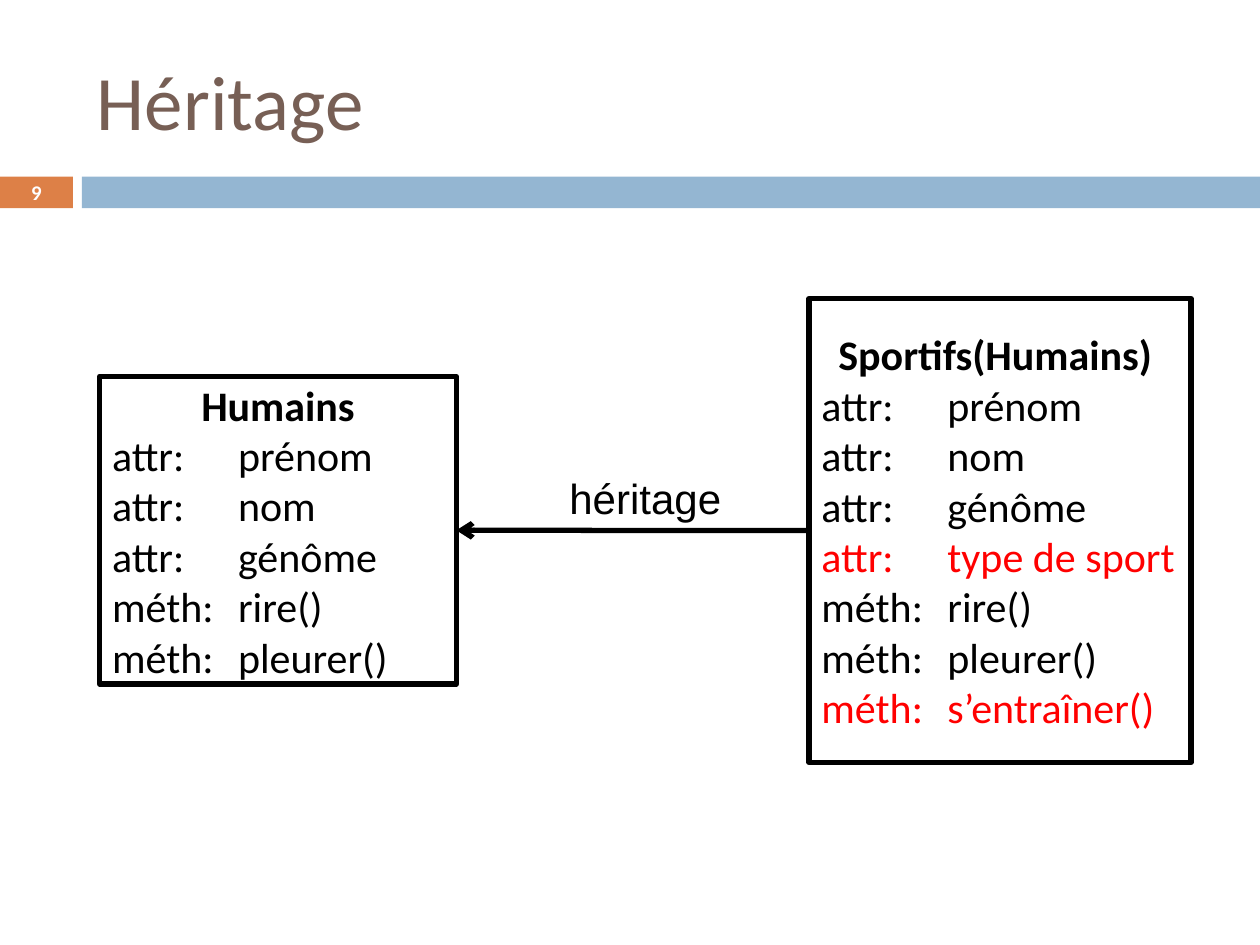
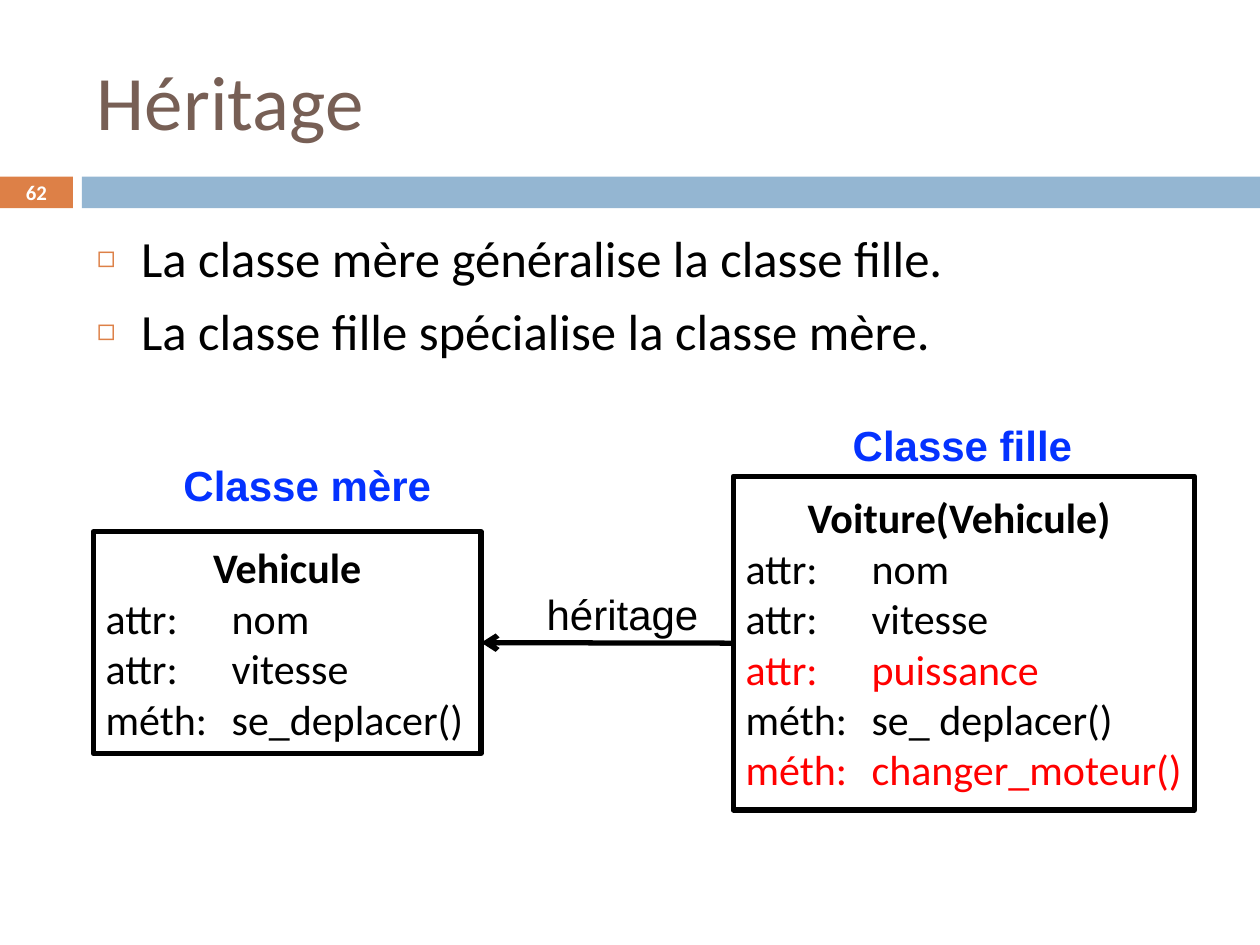
import dataclasses

import lxml.etree
import pptx
import pptx.dml.color
import pptx.enum.shapes
import pptx.enum.text
import pptx.oxml.ns
import pptx.shapes.autoshape
import pptx.shapes.shapetree
import pptx.slide
import pptx.text.text
import pptx.util

Cm = pptx.util.Cm
Pt = pptx.util.Pt
RGBColor = pptx.dml.color.RGBColor
Alignment = pptx.enum.text.PP_ALIGN
Anchor = pptx.enum.text.MSO_ANCHOR
AutoSize = pptx.enum.text.MSO_AUTO_SIZE
qn = pptx.oxml.ns.qn
ShapeTree = pptx.shapes.shapetree.SlideShapes | pptx.shapes.shapetree.GroupShapes

BLACK = RGBColor(0x00, 0x00, 0x00)
WHITE = RGBColor(0xFF, 0xFF, 0xFF)
RED = RGBColor(0xFF, 0x00, 0x00)
BLUE = RGBColor(0x04, 0x32, 0xFF)
BROWN = RGBColor(0x77, 0x5F, 0x55)
ORANGE = RGBColor(0xDD, 0x80, 0x47)
BAND_BLUE = RGBColor(0x94, 0xB6, 0xD2)

TEXT_FONT = "Calibri"
LABEL_FONT = "Arial"
TITLE_ONLY, TITLE_AND_CONTENT = 5, 1


@dataclasses.dataclass(frozen=True)
class Area:
    """A rectangle in centimetres."""
    left: float
    top: float
    width: float
    height: float

    def lengths(self) -> tuple[Cm, Cm, Cm, Cm]:
        return Cm(self.left), Cm(self.top), Cm(self.width), Cm(self.height)


@dataclasses.dataclass(frozen=True)
class Label:
    text: str
    area: Area
    color: RGBColor = BLACK
    bold: bool = False


@dataclasses.dataclass(frozen=True)
class Member:
    """An attribute or method; added ones are not inherited."""
    kind: str
    name: str
    added: bool = False


@dataclasses.dataclass(frozen=True)
class ClassBox:
    heading: str
    area: Area
    members: tuple[Member, ...]
    caption: Label | None = None


@dataclasses.dataclass(frozen=True)
class InheritanceSlide:
    number: int
    parent: ClassBox
    child: ClassBox
    arrow_label: Label
    points: tuple[str, ...] = ()


TITLE_AREA = Area(1.7, 0.64, 22.66, 2.74)
BODY_AREA = Area(1.7, 4.45, 22.66, 13.49)
MARKER_AREA = Area(0, 3.56, 1.47, 0.64)
BAND_AREA = Area(1.65, 3.56, 23.75, 0.64)
NUMBER_AREA = Area(0, 3.53, 1.47, 0.69)

SLIDES = (
    InheritanceSlide(
        number=9,
        parent=ClassBox("Humains", Area(2.01, 7.59, 7.19, 6.2), (
            Member("attr", "prénom"),
            Member("attr", "nom"),
            Member("attr", "génôme"),
            Member("méth", "rire()"),
            Member("méth", "pleurer()"),
        )),
        child=ClassBox("Sportifs(Humains) ", Area(16.31, 6.02, 7.7, 9.35), (
            Member("attr", "prénom"),
            Member("attr", "nom"),
            Member("attr", "génôme"),
            Member("attr", "type de sport", added=True),
            Member("méth", "rire()"),
            Member("méth", "pleurer()"),
            Member("méth", "s’entraîner()", added=True),
        )),
        arrow_label=Label("héritage", Area(11.23, 9.4, 3.61, 1.27)),
    ),
    InheritanceSlide(
        number=62,
        parent=ClassBox("Vehicule", Area(1.88, 10.72, 7.82, 4.47), (
            Member("attr", "nom"),
            Member("attr", "vitesse"),
            Member("méth", "se_deplacer()"),
        ), Label("Classe mère", Area(3.45, 9.14, 5.56, 1.27), BLUE, True)),
        child=ClassBox("Voiture(Vehicule) ", Area(14.78, 9.6, 9.3, 6.73), (
            Member("attr", "nom"),
            Member("attr", "vitesse"),
            Member("attr", "puissance", added=True),
            Member("méth", "se_ deplacer()"),
            Member("méth", "changer_moteur()", added=True),
        ), Label("Classe fille", Area(16.94, 8.33, 4.98, 1.27), BLUE, True)),
        arrow_label=Label("héritage", Area(10.77, 11.73, 3.61, 1.27)),
        points=("La classe mère généralise la classe fille.",
                "La classe fille spécialise la classe mère."),
    ),
)


def format_paragraph(paragraph: pptx.text.text._Paragraph, size: float,
                     color: RGBColor = BLACK, bold: bool = False,
                     font_name: str = TEXT_FONT,
                     alignment: Alignment = Alignment.LEFT) -> None:
    paragraph.alignment = alignment
    for run in paragraph.runs:
        run.font.name = font_name
        run.font.size = Pt(size)
        run.font.bold = bold
        run.font.color.rgb = color


def place(shape: pptx.shapes.autoshape.Shape, area: Area) -> None:
    shape.left, shape.top, shape.width, shape.height = area.lengths()


def add_rectangle(shapes: ShapeTree, area: Area,
                  fill: RGBColor) -> pptx.shapes.autoshape.Shape:
    rectangle = shapes.add_shape(
        pptx.enum.shapes.MSO_SHAPE.RECTANGLE, *area.lengths())
    rectangle.shadow.inherit = False
    rectangle.fill.solid()
    rectangle.fill.fore_color.rgb = fill
    rectangle.line.fill.background()
    return rectangle


def add_label(shapes: ShapeTree, label: Label) -> None:
    text_frame = shapes.add_textbox(*label.area.lengths()).text_frame
    text_frame.word_wrap = False
    text_frame.auto_size = AutoSize.SHAPE_TO_FIT_TEXT
    text_frame.text = label.text
    format_paragraph(text_frame.paragraphs[0], 24, label.color, label.bold,
                     LABEL_FONT)


def add_frame(slide: pptx.slide.Slide, number: int) -> None:
    """Add what every slide shares: bands, title and slide number."""
    add_rectangle(slide.shapes, MARKER_AREA, ORANGE)
    add_rectangle(slide.shapes, BAND_AREA, BAND_BLUE)

    title = slide.shapes.title
    place(title, TITLE_AREA)
    title.text_frame.text = "Héritage"
    title.text_frame.vertical_anchor = Anchor.MIDDLE
    format_paragraph(title.text_frame.paragraphs[0], 44, BROWN)

    text_frame = slide.shapes.add_textbox(*NUMBER_AREA.lengths()).text_frame
    text_frame.word_wrap = True
    text_frame.vertical_anchor = Anchor.MIDDLE
    text_frame.text = str(number)
    format_paragraph(text_frame.paragraphs[0], 11.9, WHITE, True,
                     alignment=Alignment.CENTER)


def add_square_bullet(paragraph: pptx.text.text._Paragraph) -> None:
    properties = paragraph._p.get_or_add_pPr()
    indent = Cm(0.89)
    properties.set("marL", str(indent))
    properties.set("indent", str(-indent))
    bullet_color = lxml.etree.SubElement(properties, qn("a:buClr"))
    lxml.etree.SubElement(bullet_color, qn("a:srgbClr"), val=str(ORANGE))
    lxml.etree.SubElement(properties, qn("a:buSzPct"), val="60000")
    lxml.etree.SubElement(properties, qn("a:buChar"), char="◻")


def fill_body(body: pptx.shapes.autoshape.Shape, points: tuple[str, ...]) -> None:
    place(body, BODY_AREA)
    body.text_frame.text = "\n".join(points)
    body.text_frame.auto_size = AutoSize.NONE
    for paragraph in body.text_frame.paragraphs:
        format_paragraph(paragraph, 29)
        paragraph.space_before = Pt(7)
        add_square_bullet(paragraph)


def add_class_box(slide: pptx.slide.Slide,
                  class_box: ClassBox) -> pptx.shapes.autoshape.Shape:
    """Add a class with its members, grouped with its caption if it has one."""
    shapes = slide.shapes
    if class_box.caption:
        shapes = slide.shapes.add_group_shape().shapes
    rectangle = add_rectangle(shapes, class_box.area, WHITE)
    rectangle.line.color.rgb = BLACK
    rectangle.line.width = Pt(3)

    text_frame = rectangle.text_frame
    text_frame.word_wrap = True
    text_frame.vertical_anchor = Anchor.MIDDLE
    text_frame.text = class_box.heading
    format_paragraph(text_frame.paragraphs[0], 24, bold=True,
                     alignment=Alignment.CENTER)
    for member in class_box.members:
        paragraph = text_frame.add_paragraph()
        paragraph.text = f"{member.kind}:\t{member.name}"
        format_paragraph(paragraph, 24, RED if member.added else BLACK)

    if class_box.caption:
        add_label(shapes, class_box.caption)
    return rectangle


def add_inheritance_arrow(slide: pptx.slide.Slide,
                          child: pptx.shapes.autoshape.Shape,
                          parent: pptx.shapes.autoshape.Shape) -> None:
    connector = slide.shapes.add_connector(
        pptx.enum.shapes.MSO_CONNECTOR.STRAIGHT, Cm(0), Cm(0), Cm(0), Cm(0))
    connector.begin_connect(child, 1)
    connector.end_connect(parent, 3)
    connector.line.color.rgb = BLACK
    connector.line.width = Pt(3)
    properties = connector.element.spPr
    lxml.etree.SubElement(properties.find(qn("a:ln")), qn("a:tailEnd"), type="arrow")
    lxml.etree.SubElement(properties, qn("a:effectLst"))


def add_inheritance_slide(presentation: pptx.presentation.Presentation,
                          content: InheritanceSlide) -> None:
    layout = TITLE_AND_CONTENT if content.points else TITLE_ONLY
    slide = presentation.slides.add_slide(presentation.slide_layouts[layout])
    add_frame(slide, content.number)
    if content.points:
        fill_body(slide.placeholders[1], content.points)
    parent = add_class_box(slide, content.parent)
    child = add_class_box(slide, content.child)
    add_inheritance_arrow(slide, child, parent)
    add_label(slide.shapes, content.arrow_label)


def main() -> None:
    presentation = pptx.Presentation()
    presentation.slide_width = Cm(25.4)
    presentation.slide_height = Cm(19.05)
    for content in SLIDES:
        add_inheritance_slide(presentation, content)
    presentation.save("out.pptx")


if __name__ == "__main__":
    main()
